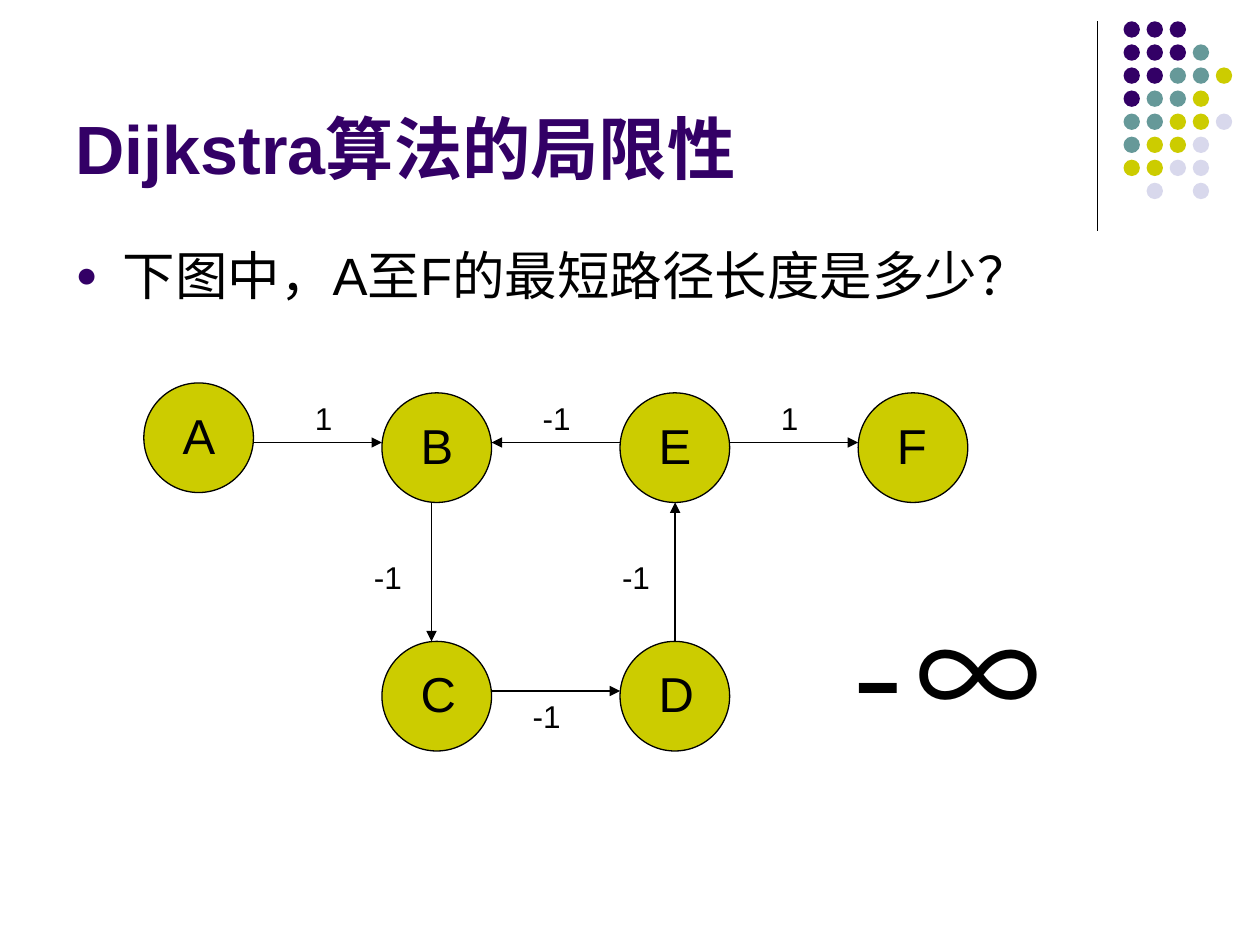
from dataclasses import dataclass

from lxml import etree
from pptx import Presentation
from pptx.dml.color import RGBColor
from pptx.enum.shapes import MSO_CONNECTOR, MSO_SHAPE
from pptx.enum.text import MSO_ANCHOR, MSO_AUTO_SIZE, PP_ALIGN
from pptx.oxml.ns import qn
from pptx.util import Cm, Pt

OVAL = MSO_SHAPE.OVAL
STRAIGHT = MSO_CONNECTOR.STRAIGHT
TOP, BOTTOM = MSO_ANCHOR.TOP, MSO_ANCHOR.BOTTOM
NO_FIT = MSO_AUTO_SIZE.NONE
LEFT = PP_ALIGN.LEFT


@dataclass(frozen=True)
class Theme:
    """Colours, fonts and type sizes of the slide."""
    purple: RGBColor = RGBColor(0x33, 0x00, 0x66)
    teal: RGBColor = RGBColor(0x66, 0x99, 0x99)
    olive: RGBColor = RGBColor(0xCC, 0xCC, 0x00)
    lavender: RGBColor = RGBColor(0xD8, 0xD8, 0xEC)
    black: RGBColor = RGBColor(0, 0, 0)
    latin: str = "Arial"
    mono: str = "Noto Sans Mono"
    cjk: str = "Noto Sans CJK SC"
    title: float = 39
    body: float = 30
    node: float = 28
    weight: float = 18
    answer: float = 72
    line: float = 0.74


THEME = Theme()
DOT_ROWS = ("PPP", "PPPT", "PPTTO", "PTTO", "TTOOL", "TOOL", "OOLL", " L L")
DOT_COLOURS = {"P": THEME.purple, "T": THEME.teal,
               "O": THEME.olive, "L": THEME.lavender}
DOT_SIZE, DOT_PITCH = 0.33, 0.465
NODE_SIZE = 2.21
COLUMNS = [2.9 + 4.8 * index for index in range(4)]
UPPER, LOWER = 7.92, 12.93
NODES = {"A": (COLUMNS[0], 7.72), "B": (COLUMNS[1], UPPER),
         "C": (COLUMNS[1], LOWER), "D": (COLUMNS[2], LOWER),
         "E": (COLUMNS[2], UPPER), "F": (COLUMNS[3], UPPER)}
EDGES = (("A", "B", 1.0, "1", (6.1, 7.92)),
         ("B", "C", 1.0, "-1", (7.29, 11.13)),
         ("E", "B", 1.0, "-1", (10.69, 7.92)),
         ("E", "F", 1.0, "1", (15.49, 7.92)),
         ("D", "E", 1.11, "-1", (12.29, 11.13)),
         ("C", "D", 1.0, "-1", (10.49, 13.92)))


def set_values(target, values):
    """Set every attribute named in a dict."""
    for name, value in values.items():
        setattr(target, name, value)


def add_run(paragraph, text, size, font=THEME.latin, colour=THEME.black, bold=False):
    """Add a formatted run with an East Asian font."""
    run = paragraph.add_run()
    run.text = text
    set_values(run.font, {"size": Pt(size), "name": font, "bold": bold})
    run.font.color.rgb = colour
    latin = run.font._element.find(qn("a:latin"))
    east_asian = etree.Element(qn("a:ea"), typeface=THEME.cjk)
    latin.addnext(east_asian)


def fill_placeholder(holder, box, anchor, text, size, **font):
    """Place a placeholder, write its text and return the paragraph."""
    set_values(holder, dict(zip(("left", "top", "width", "height"), map(Cm, box))))
    set_values(holder.text_frame, {"vertical_anchor": anchor,
                                   "word_wrap": True, "auto_size": NO_FIT})
    paragraph = holder.text_frame.paragraphs[0]
    paragraph.alignment = LEFT
    add_run(paragraph, text, size, **font)
    return paragraph


def add_bullet(paragraph):
    """Give a paragraph a round coloured bullet and a hanging indent."""
    paragraph.space_before = Pt(7.5)
    properties = paragraph._p.get_or_add_pPr()
    properties.set("marL", str(Cm(0.95)))
    properties.set("indent", str(Cm(-0.95)))
    colour = etree.SubElement(properties, qn("a:buClr"))
    etree.SubElement(colour, qn("a:srgbClr"), val=str(THEME.purple))
    etree.SubElement(properties, qn("a:buSzPct"), val="70000")
    etree.SubElement(properties, qn("a:buFont"), typeface=THEME.latin)
    etree.SubElement(properties, qn("a:buChar"), char="●")


def add_label(shapes, box, runs, size):
    """Add a text box made of (text, font) runs."""
    label = shapes.add_textbox(*map(Cm, box))
    label.text_frame.word_wrap = True
    for text, font in runs:
        add_run(label.text_frame.paragraphs[0], text, size, font)


def add_circle(shapes, x, y, size, colour, outlined=False):
    """Add a filled circle, with or without an outline."""
    circle = shapes.add_shape(OVAL, Cm(x), Cm(y), Cm(size), Cm(size))
    circle.shadow.inherit = False
    circle.fill.solid()
    circle.fill.fore_color.rgb = colour
    if outlined:
        circle.line.color.rgb = THEME.black
        circle.line.width = Pt(THEME.line)
    else:
        circle.line.fill.background()


def add_line(shapes, start, end, arrow=False):
    """Add a thin black line, optionally with an arrowhead at its end."""
    line = shapes.add_connector(STRAIGHT, *map(Cm, (*start, *end)))
    line.line.color.rgb = THEME.black
    line.line.width = Pt(THEME.line)
    if arrow:
        etree.SubElement(line.line._get_or_add_ln(), qn("a:tailEnd"), type="triangle")
    etree.SubElement(line._element.spPr, qn("a:effectLst"))


def add_ornament(shapes):
    """Add the vertical rule and the grid of dots in the corner."""
    add_line(shapes, (22.12, 0.43), (22.12, 4.65))
    dots = shapes.add_group_shape().shapes
    for row, codes in enumerate(DOT_ROWS):
        for column, code in enumerate(codes):
            if code in DOT_COLOURS:
                add_circle(dots, 22.65 + column * DOT_PITCH, 0.43 + row * DOT_PITCH,
                           DOT_SIZE, DOT_COLOURS[code])


def add_node(shapes, name):
    """Add a graph node with its letter."""
    x, y = NODES[name]
    node = shapes.add_group_shape().shapes
    add_circle(node, x, y, NODE_SIZE, THEME.olive, outlined=True)
    add_label(node, (x + 0.53, y + 0.33, 1.4, 1.45), [(name, THEME.latin)], THEME.node)


def add_edge(shapes, source, target, offset, weight, label_at):
    """Add an arrow between the facing sides of two nodes and its weight."""
    (x1, y1), (x2, y2) = NODES[source], NODES[target]
    if x1 == x2:
        x = x1 + offset
        start, end = ((x, y1 + NODE_SIZE * (y1 < y2)), (x, y2 + NODE_SIZE * (y2 < y1)))
    else:
        y = y2 + offset
        start, end = ((x1 + NODE_SIZE * (x1 < x2), y), (x2 + NODE_SIZE * (x2 < x1), y))
    add_line(shapes, start, end, arrow=True)
    add_label(shapes, (*label_at, 0.6 + 0.4 * len(weight), 1.02),
              [(weight, THEME.latin)], THEME.weight)


def main():
    """Build and save the slide."""
    deck = Presentation()
    set_values(deck, {"slide_width": Cm(25.4), "slide_height": Cm(19.05)})
    slide = deck.slides.add_slide(deck.slide_layouts[1])
    shapes = slide.shapes
    add_ornament(shapes)
    fill_placeholder(shapes.title, (1.27, 0.33, 20.95, 3.6), BOTTOM,
                     "Dijkstra算法的局限性", THEME.title,
                     colour=THEME.purple, bold=True)
    question = fill_placeholder(slide.placeholders[1], (1.27, 4.78, 22.86, 12.24), TOP,
                                "下图中，A至F的最短路径长度是多少？", THEME.body)
    add_bullet(question)
    for name in NODES:
        add_node(shapes, name)
    for edge in EDGES:
        add_edge(shapes, *edge)
    add_label(shapes, (16.69, 11.91, 7.19, 3.3),
              [("-", THEME.mono), ("∞", THEME.cjk)], THEME.answer)
    deck.save("out.pptx")


main()
